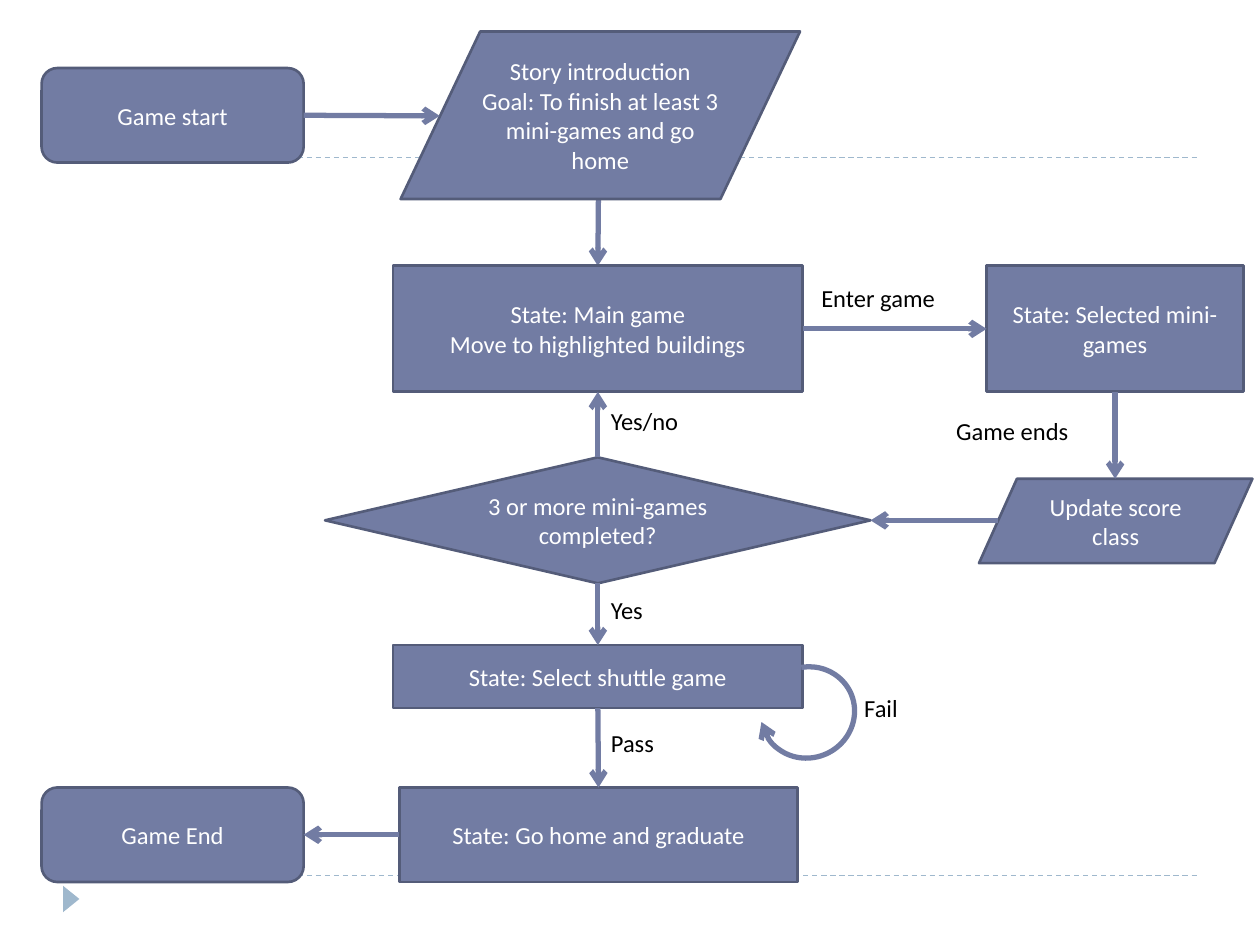
from lxml.etree import SubElement
from pptx import Presentation
from pptx.dml.color import RGBColor
from pptx.enum.dml import MSO_LINE
from pptx.enum.shapes import MSO_CONNECTOR, MSO_SHAPE as SHAPE
from pptx.enum.text import MSO_ANCHOR, MSO_AUTO_SIZE, PP_ALIGN
from pptx.oxml.ns import qn
from pptx.util import Inches, Pt

FILL, EDGE, ACCENT, WHITE, BLACK = "727CA3", "545C79", "9FB8CD", "FFFFFF", "000000"
TOP, LEFT, BOTTOM, RIGHT = range(4)
CENTER_X = 4.75

NODES = {
    "start": (SHAPE.ROUNDED_RECTANGLE, (0.33, 0.54, 2.08, 0.75), ["Game start"]),
    "story": (SHAPE.PARALLELOGRAM, (3.18, 0.25, 3.17, 1.33),
              ["Story introduction", "Goal: To finish at least 3 mini-games and go home"]),
    "main": (SHAPE.RECTANGLE, (3.12, 2.11, 3.25, 1),
             ["State: Main game", "Move to highlighted buildings"]),
    "mini": (SHAPE.RECTANGLE, (7.83, 2.11, 2.04, 1), ["State: Selected mini-games"]),
    "score": (SHAPE.PARALLELOGRAM, (7.77, 3.8, 2.17, 0.67), ["Update score class"]),
    "check": (SHAPE.DIAMOND, (2.58, 3.63, 4.33, 1), ["3 or more mini-games completed?"]),
    "shuttle": (SHAPE.RECTANGLE, (3.12, 5.12, 3.25, 0.5), ["State: Select shuttle game"]),
    "home": (SHAPE.RECTANGLE, (3.17, 6.25, 3.16, 0.75), ["State: Go home and graduate"]),
    "end": (SHAPE.ROUNDED_RECTANGLE, (0.33, 6.25, 2.08, 0.75), ["Game End"]),
}
SLANTS = {"story": 0.475, "score": 0.45}
ARROWS = [
    (("start", RIGHT), (3.49, 0.92)),
    (("main", RIGHT), ("mini", LEFT)),
    (("mini", BOTTOM), (8.85, 3.8)),
    ((7.92, 4.13), ("check", RIGHT)),
    (("check", TOP), ("main", BOTTOM)),
    (("check", BOTTOM), ("shuttle", TOP)),
    (("shuttle", BOTTOM), ("home", TOP)),
    (("home", LEFT), ("end", RIGHT)),
]
LABELS = [
    ("Enter game", 6.42, 2.2, 1.37),
    ("Game ends", 7.49, 3.25, 1.36),
    ("Yes/no", CENTER_X, 3.17, 0.9),
    ("Yes", CENTER_X, 4.67, 0.53),
    ("Pass", CENTER_X, 5.73, 0.64),
    ("Fail", 6.76, 5.45, 0.55),
]


def rgb(color):
    return RGBColor.from_string(color)


def set_line(s, color, width):
    s.line.color.rgb = rgb(color)
    s.line.width = Pt(width)


def add_arrowhead(s):
    SubElement(s.line._get_or_add_ln(), qn("a:tailEnd"), type="arrow")


def add_line(slide, start, end, color, width):
    s = slide.shapes.add_connector(MSO_CONNECTOR.STRAIGHT, *map(Inches, start + end))
    set_line(s, color, width)
    SubElement(s._element.spPr, qn("a:effectLst"))
    return s


def add_shape(slide, kind, box, fill=None):
    s = slide.shapes.add_shape(kind, *map(Inches, box))
    s.shadow.inherit = False
    if fill:
        s.fill.solid()
        s.fill.fore_color.rgb = rgb(fill)
    else:
        s.fill.background()
    return s


def write(tf, lines, color, align):
    for i, line in enumerate(lines):
        p = tf.add_paragraph() if i else tf.paragraphs[0]
        p.text = line
        p.alignment = align
        p.font.name, p.font.size = "Calibri", Pt(14)
        p.font.color.rgb = rgb(color)


def add_node(slide, name):
    kind, box, lines = NODES[name]
    s = add_shape(slide, kind, box, FILL)
    set_line(s, EDGE, 1.5)
    if name in SLANTS:
        s.adjustments[0] = SLANTS[name]
    s.text_frame.word_wrap = True
    s.text_frame.vertical_anchor = MSO_ANCHOR.MIDDLE
    write(s.text_frame, lines, WHITE, PP_ALIGN.CENTER)
    return s


def locate(point):
    if point[0] not in NODES:
        return point
    name, side = point
    x, y, w, h = NODES[name][1]
    return [(x + w / 2, y), (x, y + h / 2), (x + w / 2, y + h), (x + w, y + h / 2)][side]


def add_arrow(slide, nodes, start, end):
    s = add_line(slide, locate(start), locate(end), FILL, 3)
    add_arrowhead(s)
    if start[0] in nodes:
        s.begin_connect(nodes[start[0]], start[1])
    if end[0] in nodes:
        s.end_connect(nodes[end[0]], end[1])
    return s


def add_label(slide, text, x, y, w):
    tf = slide.shapes.add_textbox(*map(Inches, (x, y, w, 0.4))).text_frame
    tf.word_wrap = False
    tf.auto_size = MSO_AUTO_SIZE.SHAPE_TO_FIT_TEXT
    write(tf, [text], BLACK, PP_ALIGN.LEFT)


def add_decoration(slide):
    for y in (6.95, 1.25):
        add_line(slide, (0.5, y), (9.5, y), ACCENT, 0.75).line.dash_style = MSO_LINE.DASH
    s = add_shape(slide, SHAPE.ISOSCELES_TRIANGLE, (0.46, 7.07, 0.21, 0.13), ACCENT)
    s.line.fill.background()
    s.rotation = 90


def add_retry_loop(slide):
    s = add_shape(slide, SHAPE.ARC, (6.05, 5.28, 0.72, 0.75))
    s.adjustments[0], s.adjustments[1] = 117.84, 61.62
    s.rotation = 65.6
    set_line(s, FILL, 3)
    add_arrowhead(s)


def main():
    """Build the game flowchart slide."""
    prs = Presentation()
    prs.slide_width, prs.slide_height = Inches(10), Inches(7.5)
    slide = prs.slides.add_slide(prs.slide_layouts[6])
    add_decoration(slide)
    intro = add_arrow(slide, {}, (4.76, 0.25), ("main", TOP))
    nodes = {name: add_node(slide, name) for name in NODES}
    intro.end_connect(nodes["main"], TOP)
    for start, end in ARROWS:
        add_arrow(slide, nodes, start, end)
    add_retry_loop(slide)
    for label in LABELS:
        add_label(slide, *label)
    prs.save("out.pptx")


if __name__ == "__main__":
    main()
